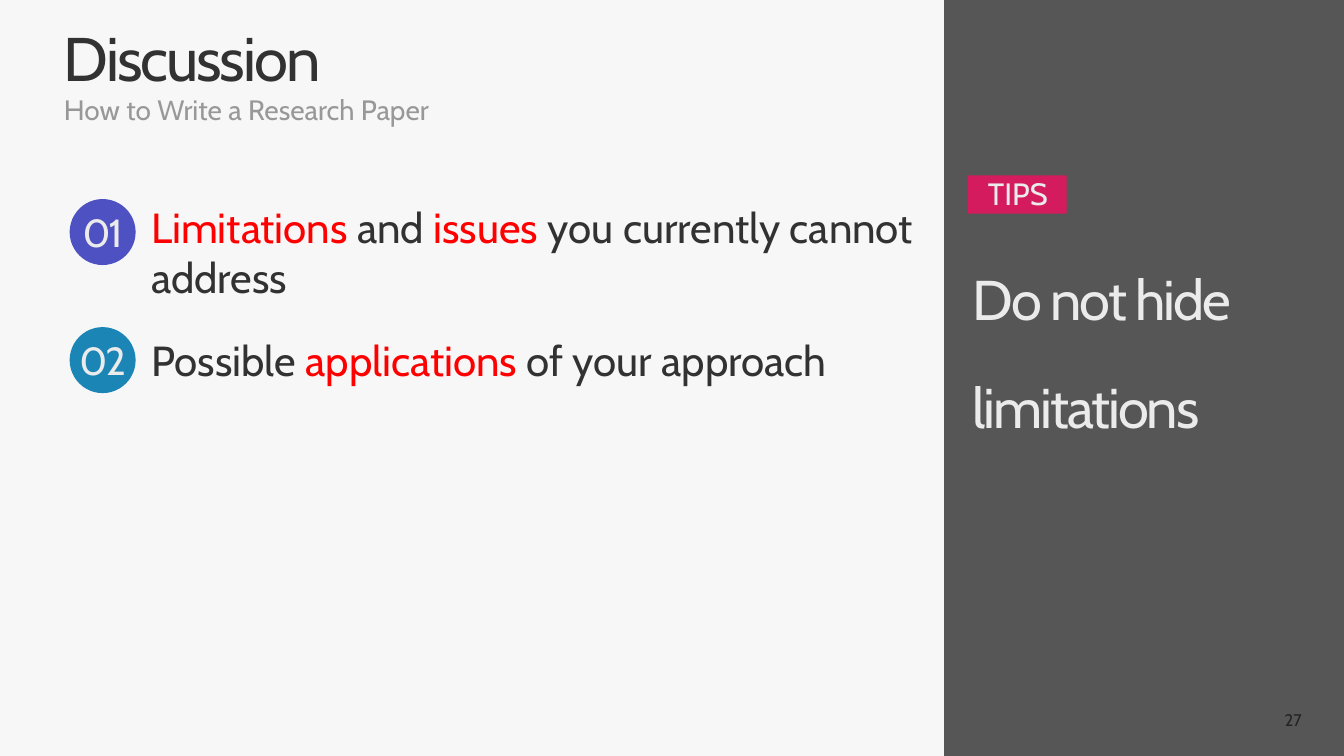
from lxml import etree
from pptx import Presentation
from pptx import util as u
from pptx.dml import color
from pptx.enum import shapes, text
from pptx.oxml import ns

DARK, RED, LIGHT, GREY = "323232", "FF0000", "EBEBEB", "989898"
CENTER, MIDDLE = text.PP_ALIGN.CENTER, text.MSO_ANCHOR.MIDDLE


def rgb(value):
    """Turn a hex string into a colour."""
    return color.RGBColor.from_string(value)


class Deck:
    """Style and current slide, with lengths in percent of the slide's size."""

    font = "Cabin"

    def __init__(self, width, height, background):
        """Start a presentation with one blank slide."""
        self.prs = Presentation()
        self.prs.slide_width, self.prs.slide_height = u.Inches(width), u.Inches(height)
        self.s = self.prs.slides.add_slide(self.prs.slide_layouts[6])
        fill = self.s.background.fill
        fill.solid()
        fill.fore_color.rgb = rgb(background)

    def box(self, area):
        """Convert percentages to slide lengths."""
        sizes = (self.prs.slide_width, self.prs.slide_height) * 2
        return [int(size * share / 100) for size, share in zip(sizes, area)]

    def put_text(self, sp, runs, size, spacing=None, frame=None, para=None):
        """Fill a shape with one paragraph of (words, colour) runs."""
        tf = sp.text_frame
        p = tf.paragraphs[0]
        for target, values in ((tf, {"word_wrap": True, **(frame or {})}), (p, para or {})):
            for name, value in values.items():
                setattr(target, name, value)
        for words, hue in runs:
            r = p.add_run()
            r.text = words
            for name, value in {"name": self.font, "size": u.Pt(size)}.items():
                setattr(r.font, name, value)
            r.font.color.rgb = rgb(hue)
            if spacing:
                r._r.get_or_add_rPr().set("spc", str(spacing * 100))

    def text(self, area, runs, size, **style):
        """Add a text box."""
        self.put_text(self.s.shapes.add_textbox(*self.box(area)), runs, size, **style)

    def shape(self, kind, area, fill, alpha=None):
        """Add a filled shape without line or shadow."""
        sp = self.s.shapes.add_shape(kind, *self.box(area))
        sp.shadow.inherit = False
        sp.line.fill.background()
        sp.fill.solid()
        sp.fill.fore_color.rgb = rgb(fill)
        if alpha:
            hue = sp._element.spPr.find(".//" + ns.qn("a:srgbClr"))
            etree.SubElement(hue, ns.qn("a:alpha")).set("val", str(alpha * 1000))
        return sp

    def badge(self, area, fill, label):
        """Add a numbered circle."""
        sp = self.shape(shapes.MSO_SHAPE.OVAL, area, fill)
        frame = dict.fromkeys(("margin_left", "margin_top", "margin_right", "margin_bottom"), 0)
        frame.update(word_wrap=False, vertical_anchor=MIDDLE)
        self.put_text(sp, [(label, LIGHT)], 56, spacing=-3, frame=frame,
                      para={"alignment": CENTER})

    def tag(self, area, fill, label):
        """Add a label on a coloured rectangle."""
        sp = self.shape(shapes.MSO_SHAPE.RECTANGLE, area, fill)
        frame = {"margin_left": u.Inches(0.12), "margin_top": u.Inches(0.12),
                 "margin_right": u.Inches(0.1), "vertical_anchor": MIDDLE}
        self.put_text(sp, [(label, LIGHT)], 44, frame=frame,
                      para={"alignment": CENTER, "line_spacing": 0.8})


def main():
    """Build the slide."""
    deck = Deck(26.66, 15, "F7F7F7")
    deck.text((4.39, 3, 91.34, 9.87), [("Discussion", DARK)], 88, spacing=-3,
              frame={"vertical_anchor": text.MSO_ANCHOR.BOTTOM}, para={"line_spacing": 0.9})
    deck.text((4.39, 12.4, 91.34, 4.07), [("How to Write a Research Paper", GREY)], 40,
              para={"line_spacing": 0.9})

    points = [
        ("4E51C2", 26.33, 14.13, [("Limitations", RED), (" and ", DARK), ("issues ", RED),
                                  ("you currently cannot address", DARK)]),
        ("1B85B5", 43.93, 7.4, [("Possible ", DARK), ("applications", RED),
                                (" of your approach", DARK)]),
    ]
    for i, (fill, top, height, runs) in enumerate(points):
        deck.badge((5.18, 26.33 + 16.94 * i, 4.91, 8.73), fill, f"{i + 1:02}")
        deck.text((10.88, top, 57.69, height), runs, 60)

    deck.text((74.72, 92.6, 22.51, 5.33), [("27", "656565")], 24,
              frame={"vertical_anchor": MIDDLE}, para={"alignment": text.PP_ALIGN.RIGHT})
    deck.shape(shapes.MSO_SHAPE.RECTANGLE, (70.25, 0, 29.75, 100), "000000", alpha=65)
    deck.text((72.02, 29.33, 26.29, 36.8), [("Do not hide limitations", LIGHT)], 80,
              spacing=-3, para={"line_spacing": 1.6})
    deck.tag((72.02, 23.2, 7.35, 5.07), "D31B5D", "TIPS")
    deck.prs.save("out.pptx")


if __name__ == "__main__":
    main()
